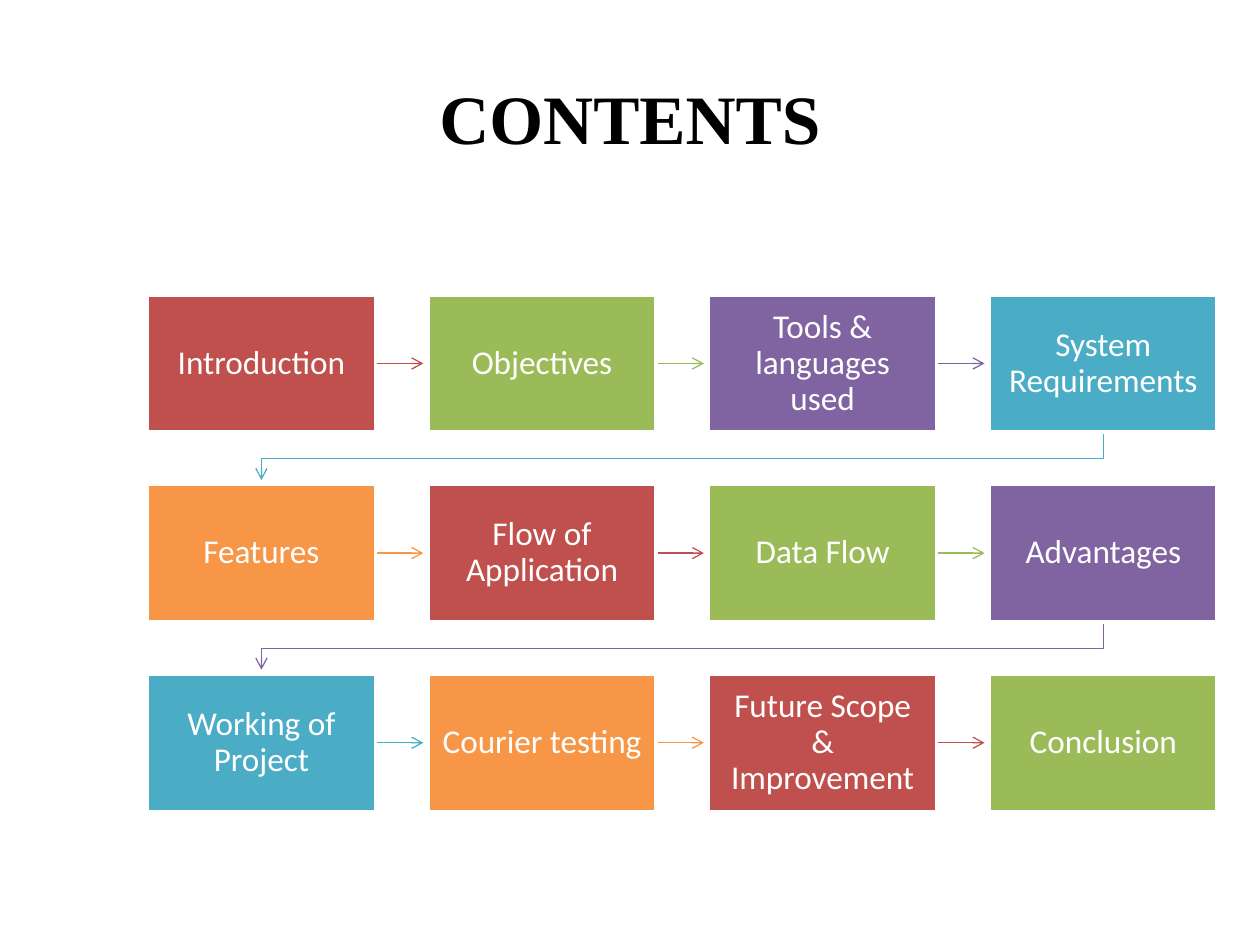
"""Build the contents slide: a title over twelve topics joined by arrows."""
from lxml.etree import SubElement
from pptx import Presentation
from pptx.dml.color import RGBColor
from pptx.enum.shapes import MSO_CONNECTOR, MSO_SHAPE
from pptx.enum.text import MSO_ANCHOR, PP_ALIGN
from pptx.oxml.ns import qn
from pptx.util import Inches, Pt

COLORS = {
    "red": "C0504D",
    "green": "9BBB59",
    "purple": "8064A2",
    "teal": "4BACC6",
    "orange": "F79646",
    "white": "FFFFFF",
    "black": "000000",
}
CYCLE = ["red", "green", "purple", "teal", "orange"]
TOPICS = [
    "Introduction", "Objectives", "Tools & languages used", "System Requirements",
    "Features", "Flow of Application", "Data Flow", "Advantages",
    "Working of Project", "Courier testing", "Future Scope & Improvement", "Conclusion",
]
COLS = 4
LEFT, TOP = 1.17, 2.34
BOX_W, BOX_H = 1.81, 1.09
STEP_X, STEP_Y = 2.227, 1.505
ARROW_LEN = 0.38
BEND = 0.21


def rgb(name):
    return RGBColor.from_string(COLORS[name])


def write(tf, text, font="Calibri", size=19, color="white", bold=False, spacing=0.9, margin=0.09):
    tf.word_wrap = True
    tf.vertical_anchor = MSO_ANCHOR.MIDDLE
    tf.margin_left = tf.margin_right = tf.margin_top = tf.margin_bottom = Inches(margin)
    p = tf.paragraphs[0]
    p.alignment = PP_ALIGN.CENTER
    p.line_spacing = spacing
    r = p.add_run()
    r.text = text
    r.font.name, r.font.size, r.font.bold = font, Pt(size), bold
    r.font.color.rgb = rgb(color)


class Deck:
    def __init__(self):
        self.prs = Presentation()
        self.prs.slide_width, self.prs.slide_height = Inches(10), Inches(7.5)
        self.s = self.prs.slides.add_slide(self.prs.slide_layouts[5])

    def title(self, text):
        sp = self.s.shapes.title
        sp.left, sp.top, sp.width, sp.height = Inches(0.5), Inches(0.3), Inches(9), Inches(1.25)
        write(sp.text_frame, text, font="Times New Roman", size=39.6,
              color="black", bold=True, spacing=1.0, margin=0.05)

    def box(self, x, y, text, color):
        sp = self.s.shapes.add_shape(
            MSO_SHAPE.RECTANGLE, Inches(x), Inches(y), Inches(BOX_W), Inches(BOX_H))
        sp.shadow.inherit = False
        sp.fill.solid()
        sp.fill.fore_color.rgb = rgb(color)
        sp.line.color.rgb = rgb("white")
        sp.line.width = Pt(2)
        write(sp.text_frame, text)
        return sp

    def arrow(self, box, x, y, color):
        cx = self.s.shapes.add_connector(
            MSO_CONNECTOR.STRAIGHT, Inches(x), Inches(y), Inches(x + ARROW_LEN), Inches(y))
        cx.begin_connect(box, 3)
        SubElement(cx._element.spPr, qn("a:effectLst"))
        self.style_arrow(cx, color)

    def elbow(self, points, color):
        (x, y), *rest = [(Inches(px), Inches(py)) for px, py in points]
        fb = self.s.shapes.build_freeform(x, y)
        fb.add_line_segments(rest, close=False)
        sp = fb.convert_to_shape()
        sp.shadow.inherit = False
        sp.fill.background()
        self.style_arrow(sp, color)

    def style_arrow(self, sp, color):
        """Give a line its colour and open head, and send it behind the boxes."""
        sp.line.color.rgb = rgb(color)
        sp.line.width = Pt(0.75)
        el = sp._element
        SubElement(el.spPr.find(qn("a:ln")), qn("a:tailEnd"), type="arrow")
        el.getparent().insert(2, el)


def main():
    deck = Deck()
    deck.title("CONTENTS")
    for i, topic in enumerate(TOPICS):
        row, col = divmod(i, COLS)
        x, y = LEFT + col * STEP_X, TOP + row * STEP_Y
        color = CYCLE[i % len(CYCLE)]
        box = deck.box(x, y, topic, color)
        if col < COLS - 1:
            deck.arrow(box, x + BOX_W, y + BOX_H / 2, color)
        elif i < len(TOPICS) - 1:
            start, end, bottom = x + BOX_W / 2, LEFT + BOX_W / 2, y + BOX_H
            deck.elbow([(start, bottom), (start, bottom + BEND),
                        (end, bottom + BEND), (end, bottom + ARROW_LEN)], color)
    deck.prs.save("out.pptx")


if __name__ == "__main__":
    main()
